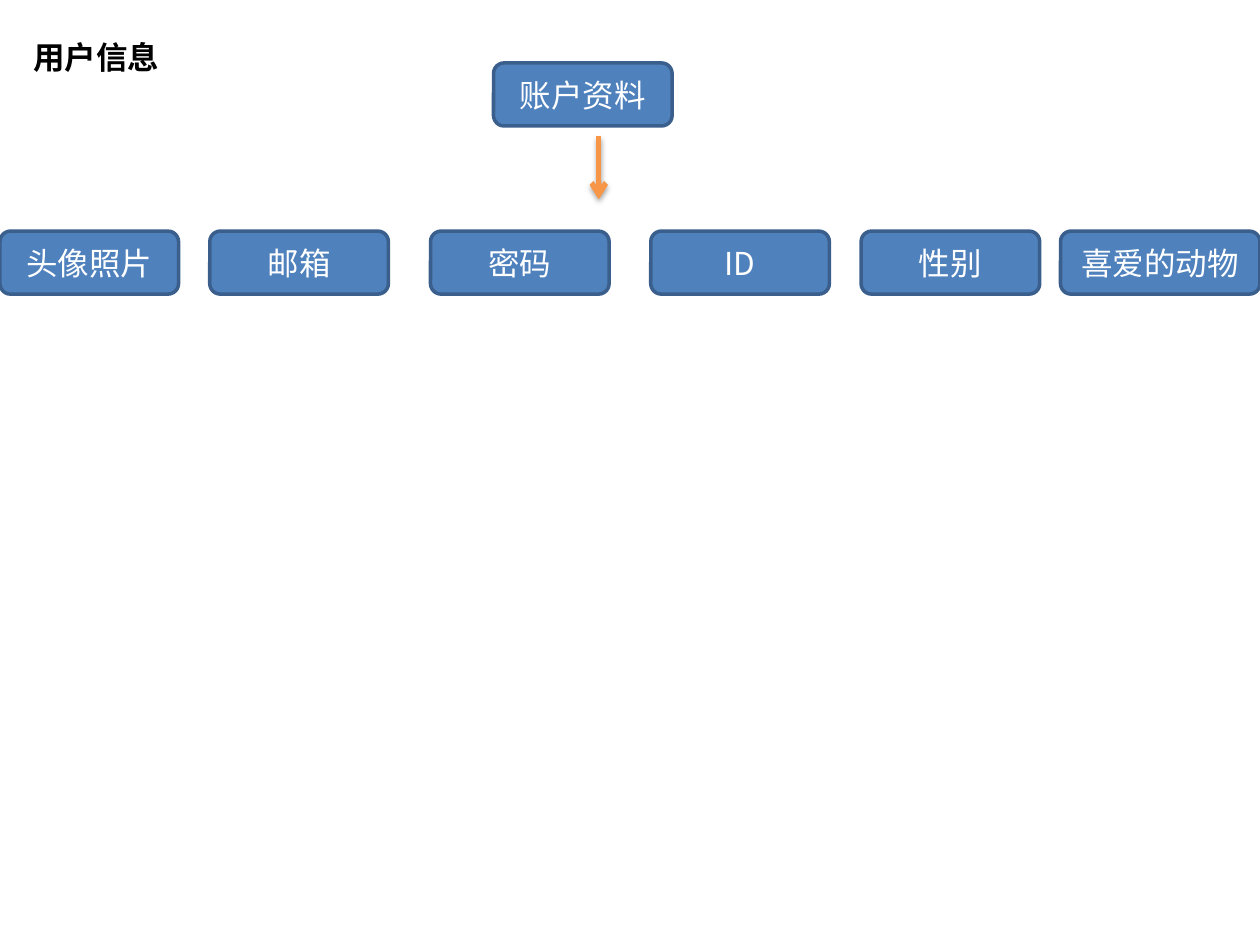
import pptx
import pptx.dml.color
import pptx.enum.shapes
import pptx.enum.text
import pptx.oxml
import pptx.oxml.ns
import pptx.util
from pptx.util import Cm

ALIGN = pptx.enum.text.PP_ALIGN
ANCHOR = pptx.enum.text.MSO_ANCHOR


def colour(value):
    return pptx.dml.color.RGBColor.from_string(value)


def write(frame, text, font="Noto Sans CJK SC", size=18, ink="FFFFFF",
          bold=False, align=ALIGN.CENTER, anchor=ANCHOR.MIDDLE):
    frame.word_wrap = True
    frame.vertical_anchor = anchor
    para = frame.paragraphs[0]
    para.alignment = align
    span = para.add_run()
    span.text = text
    span.font.size = pptx.util.Pt(size)
    span.font.bold = bold
    span.font.color.rgb = colour(ink)
    span.font.name = font
    east_asian = pptx.oxml.parse_xml(
        f'<a:ea {pptx.oxml.ns.nsdecls("a")} typeface="{font}"/>')
    span.font.name = font
    span._r.get_or_add_rPr().append(east_asian)


class Diagram:
    fill = "4F81BD"
    border = "3A5F8C"
    accent = "F79646"
    box_height = 1.27

    def __init__(self, page):
        self.page = page

    def title(self, text, left, top, width, height):
        title = self.page.shapes.title
        title.left, title.top = Cm(left), Cm(top)
        title.width, title.height = Cm(width), Cm(height)
        write(title.text_frame, text, ink="000000", bold=True,
              align=ALIGN.LEFT, anchor=ANCHOR.TOP)
        title.text_frame.auto_size = pptx.enum.text.MSO_AUTO_SIZE.SHAPE_TO_FIT_TEXT

    def box(self, text, left, top, width=3.6):
        box = self.page.shapes.add_shape(
            pptx.enum.shapes.MSO_SHAPE.ROUNDED_RECTANGLE,
            Cm(left), Cm(top), Cm(width), Cm(self.box_height))
        box.shadow.inherit = False
        box.fill.solid()
        box.fill.fore_color.rgb = colour(self.fill)
        box.line.color.rgb = colour(self.border)
        box.line.width = pptx.util.Pt(2)
        write(box.text_frame, text)

    def down_arrow(self, x, top, bottom):
        arrow = self.page.shapes.add_connector(
            pptx.enum.shapes.MSO_CONNECTOR.STRAIGHT,
            Cm(x), Cm(top), Cm(x), Cm(bottom))
        arrow.line.color.rgb = colour(self.accent)
        arrow.line.width = pptx.util.Pt(3)
        namespace = pptx.oxml.ns.nsdecls("a")
        arrow.line._get_or_add_ln().append(
            pptx.oxml.parse_xml(f'<a:tailEnd {namespace} type="arrow"/>'))
        blur, distance = pptx.util.Pt(3.1), pptx.util.Pt(1.8)
        arrow._element.spPr.append(pptx.oxml.parse_xml(
            f'<a:effectLst {namespace}>'
            f'<a:outerShdw blurRad="{blur}" dist="{distance}" dir="5400000" rotWithShape="0">'
            '<a:srgbClr val="000000"><a:alpha val="35000"/></a:srgbClr>'
            '</a:outerShdw></a:effectLst>'))


deck = pptx.Presentation()
deck.slide_width, deck.slide_height = Cm(25.4), Cm(19.05)
diagram = Diagram(deck.slides.add_slide(deck.slide_layouts.get_by_name("Title Only")))

diagram.title("用户信息", 0.42, 0.64, 3.81, 1.02)
diagram.box("账户资料", 9.95, 1.27)
diagram.down_arrow(12.07, 2.75, 4.02)

fields = [("头像照片", 0), ("邮箱", 4.23), ("密码", 8.68), ("ID", 13.12), ("性别", 17.36)]
for field, left in fields:
    diagram.box(field, left, 4.66)
diagram.box("喜爱的动物", 21.38, 4.66, width=4.02)

deck.save("out.pptx")
